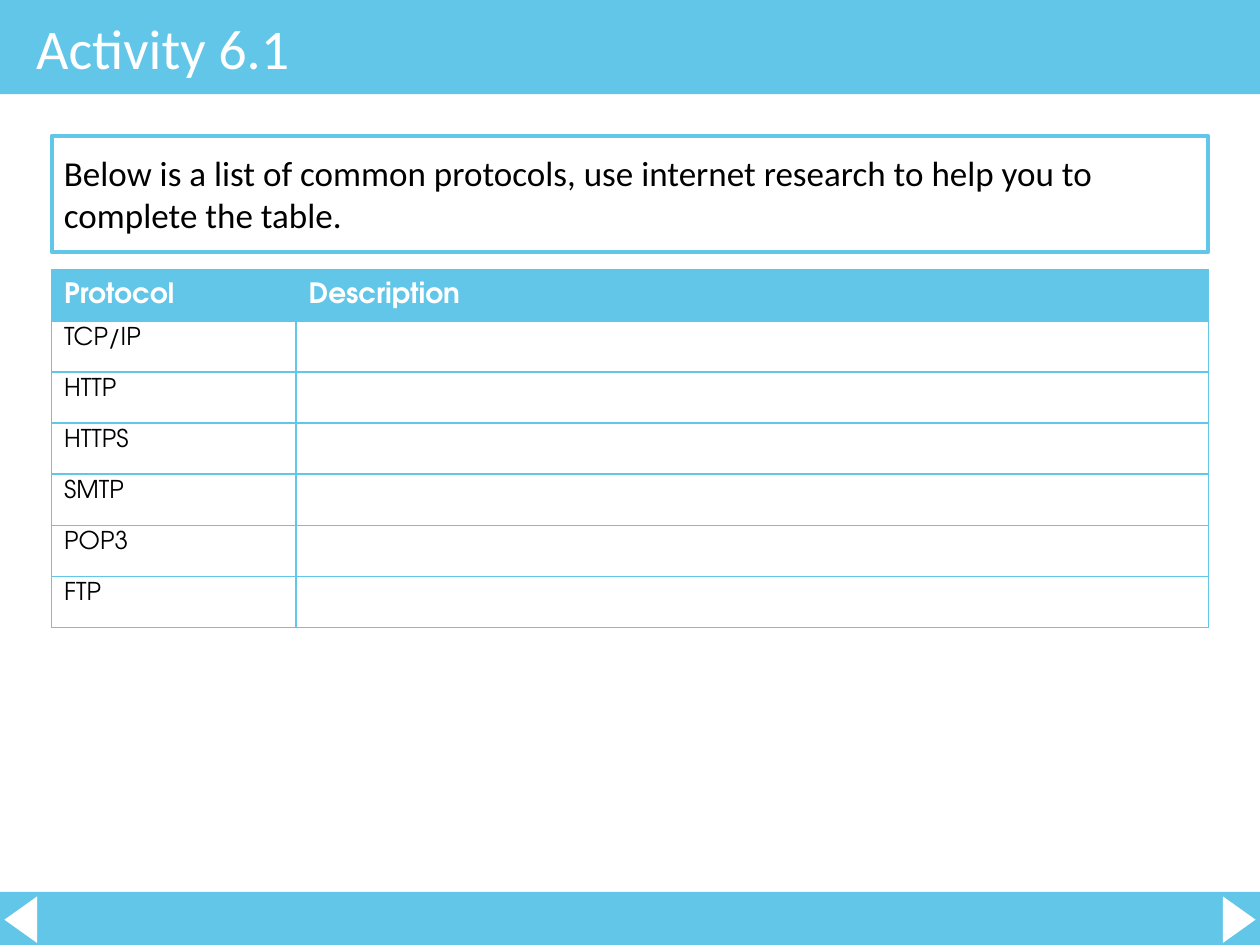
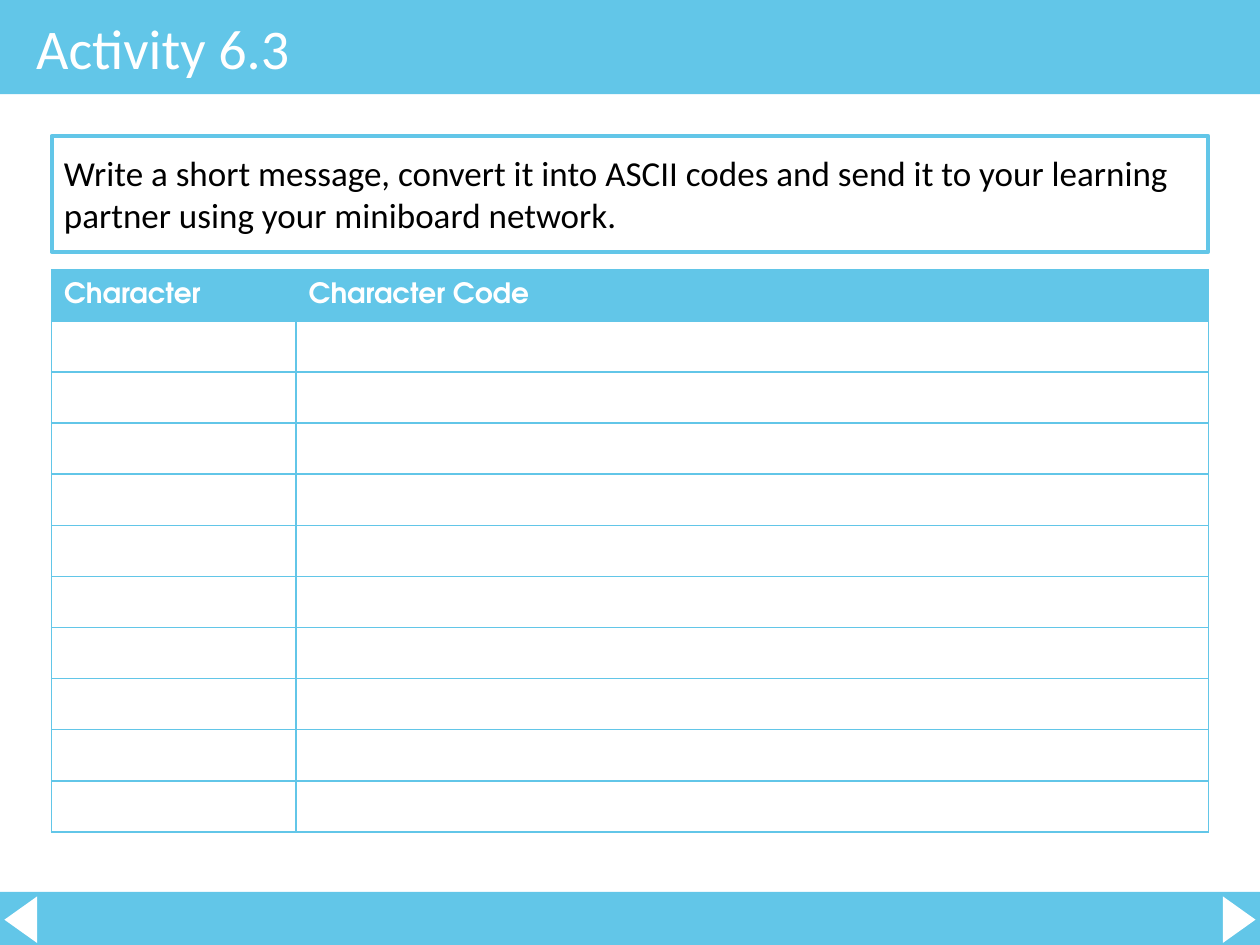
from dataclasses import dataclass

from lxml.etree import SubElement
from pptx import Presentation
from pptx.dml.color import RGBColor
from pptx.enum.shapes import MSO_SHAPE
from pptx.enum.text import MSO_ANCHOR, MSO_AUTO_SIZE, PP_ALIGN
from pptx.oxml.ns import qn
from pptx.slide import Slide
from pptx.table import _Cell
from pptx.text.text import TextFrame
from pptx.util import Cm, Pt


@dataclass(frozen=True)
class TextStyle:
    font: str
    size: int
    color: RGBColor
    bold: bool = False


@dataclass(frozen=True)
class Theme:
    accent: RGBColor = RGBColor(0x62, 0xC6, 0xE8)
    white: RGBColor = RGBColor(0xFF, 0xFF, 0xFF)
    black: RGBColor = RGBColor(0, 0, 0)
    title: TextStyle = TextStyle("Calibri", 32, white)
    task: TextStyle = TextStyle("Calibri", 20, black)
    header: TextStyle = TextStyle("TeX Gyre Adventor", 16, white, True)
    body: TextStyle = TextStyle("TeX Gyre Adventor", 14, black)
    box_line: float = 2.25
    table_line: float = 1


@dataclass(frozen=True)
class Area:
    """A place on the slide, in centimetres."""
    left: float
    top: float
    width: float
    height: float

    def lengths(self) -> tuple[Cm, Cm, Cm, Cm]:
        return Cm(self.left), Cm(self.top), Cm(self.width), Cm(self.height)


@dataclass(frozen=True)
class Activity:
    title: str
    task: str
    headings: tuple[str, str]
    entries: tuple[str, ...]


THEME = Theme()

# Layout shared by all slides
SLIDE_WIDTH, SLIDE_HEIGHT = 25.4, 19.05
TITLE_BAND = Area(0, 0, SLIDE_WIDTH, 1.9)
FOOTER_BAND = Area(0, SLIDE_HEIGHT - 1.07, SLIDE_WIDTH, 1.07)
TITLE = Area(0.48, 0, 22.86, TITLE_BAND.height)
TASK_BOX = Area(1.04, 2.74, 23.32, 2.34)
TABLE_TOP = 5.44
ROW_HEIGHT = 1.03
COLUMN_WIDTHS = (4.93, 18.39)
ARROW_WIDTH, ARROW_HEIGHT, ARROW_OVERHANG = 0.94, 0.66, 0.05
ARROW_TOP = 18.21

ACTIVITIES = (
    Activity(
        "Activity 6.1",
        "Below is a list of common protocols, use internet research to help "
        "you to complete the table.",
        ("Protocol", "Description"),
        ("TCP/IP", "HTTP", "HTTPS", "SMTP", "POP3", "FTP"),
    ),
    Activity(
        "Activity 6.3",
        "Write a short message, convert it into ASCII codes and send it to "
        "your learning partner using your miniboard network.",
        ("Character", "Character Code"),
        ("",) * 10,
    ),
)


def write(frame: TextFrame, text: str, style: TextStyle) -> None:
    paragraph = frame.paragraphs[0]
    if text:
        paragraph.text = text
    paragraph.alignment = PP_ALIGN.LEFT
    font = paragraph.font
    font.name, font.size, font.bold = style.font, Pt(style.size), style.bold
    font.color.rgb = style.color


def add_filled(page: Slide, kind: MSO_SHAPE, area: Area, color: RGBColor,
               rotation: float = 0) -> None:
    shape = page.shapes.add_shape(kind, *area.lengths())
    shape.shadow.inherit = False
    shape.fill.solid()
    shape.fill.fore_color.rgb = color
    shape.line.fill.background()
    shape.rotation = rotation


def add_frame(page: Slide) -> None:
    """Draw the bands and the two navigation arrows."""
    for band in (TITLE_BAND, FOOTER_BAND):
        add_filled(page, MSO_SHAPE.RECTANGLE, band, THEME.accent)
    right = SLIDE_WIDTH - ARROW_WIDTH + ARROW_OVERHANG
    for left, rotation in ((right, 90), (-ARROW_OVERHANG, 270)):
        area = Area(left, ARROW_TOP, ARROW_WIDTH, ARROW_HEIGHT)
        add_filled(page, MSO_SHAPE.ISOSCELES_TRIANGLE, area, THEME.white, rotation)


def add_title(page: Slide, text: str) -> None:
    title = page.shapes.title
    title.left, title.top, title.width, title.height = TITLE.lengths()
    frame = title.text_frame
    frame.auto_size = MSO_AUTO_SIZE.NONE
    frame.vertical_anchor = MSO_ANCHOR.MIDDLE
    frame.margin_left = frame.margin_right = Cm(0.25)
    frame.margin_top = frame.margin_bottom = Cm(0.25)
    write(frame, text, THEME.title)
    # Bring the title in front of its band
    page.shapes._spTree.append(title._element)


def add_task(page: Slide, text: str) -> None:
    box = page.shapes.add_shape(MSO_SHAPE.RECTANGLE, *TASK_BOX.lengths())
    box.shadow.inherit = False
    box.fill.background()
    box.line.color.rgb = THEME.accent
    box.line.width = Pt(THEME.box_line)
    box.text_frame.word_wrap = True
    box.text_frame.vertical_anchor = MSO_ANCHOR.MIDDLE
    write(box.text_frame, text, THEME.task)


def add_borders(cell: _Cell) -> None:
    properties = cell._tc.get_or_add_tcPr()
    for side in ("a:lnL", "a:lnR", "a:lnT", "a:lnB"):
        line = SubElement(properties, qn(side), w=str(Pt(THEME.table_line)))
        fill = SubElement(line, qn("a:solidFill"))
        SubElement(fill, qn("a:srgbClr"), val=str(THEME.accent))


def add_grid(page: Slide, activity: Activity) -> None:
    rows = [activity.headings, *((entry, "") for entry in activity.entries)]
    area = Area(TASK_BOX.left, TABLE_TOP, TASK_BOX.width, ROW_HEIGHT * len(rows))
    table = page.shapes.add_table(
        len(rows), len(COLUMN_WIDTHS), *area.lengths()).table
    table.horz_banding = False
    for column, width in zip(table.columns, COLUMN_WIDTHS):
        column.width = Cm(width)
    for row_index, texts in enumerate(rows):
        table.rows[row_index].height = Cm(ROW_HEIGHT)
        for column_index, text in enumerate(texts):
            cell = table.cell(row_index, column_index)
            add_borders(cell)
            if row_index == 0:
                cell.fill.solid()
                cell.fill.fore_color.rgb = THEME.accent
                cell.vertical_anchor = MSO_ANCHOR.MIDDLE
                write(cell.text_frame, text, THEME.header)
            else:
                cell.fill.background()
                write(cell.text_frame, text, THEME.body)


def main() -> None:
    deck = Presentation()
    deck.slide_width, deck.slide_height = Cm(SLIDE_WIDTH), Cm(SLIDE_HEIGHT)
    title_only = deck.slide_layouts.get_by_name("Title Only")
    for activity in ACTIVITIES:
        page = deck.slides.add_slide(title_only)
        add_frame(page)
        add_title(page, activity.title)
        add_task(page, activity.task)
        add_grid(page, activity)
    deck.save("out.pptx")


main()
